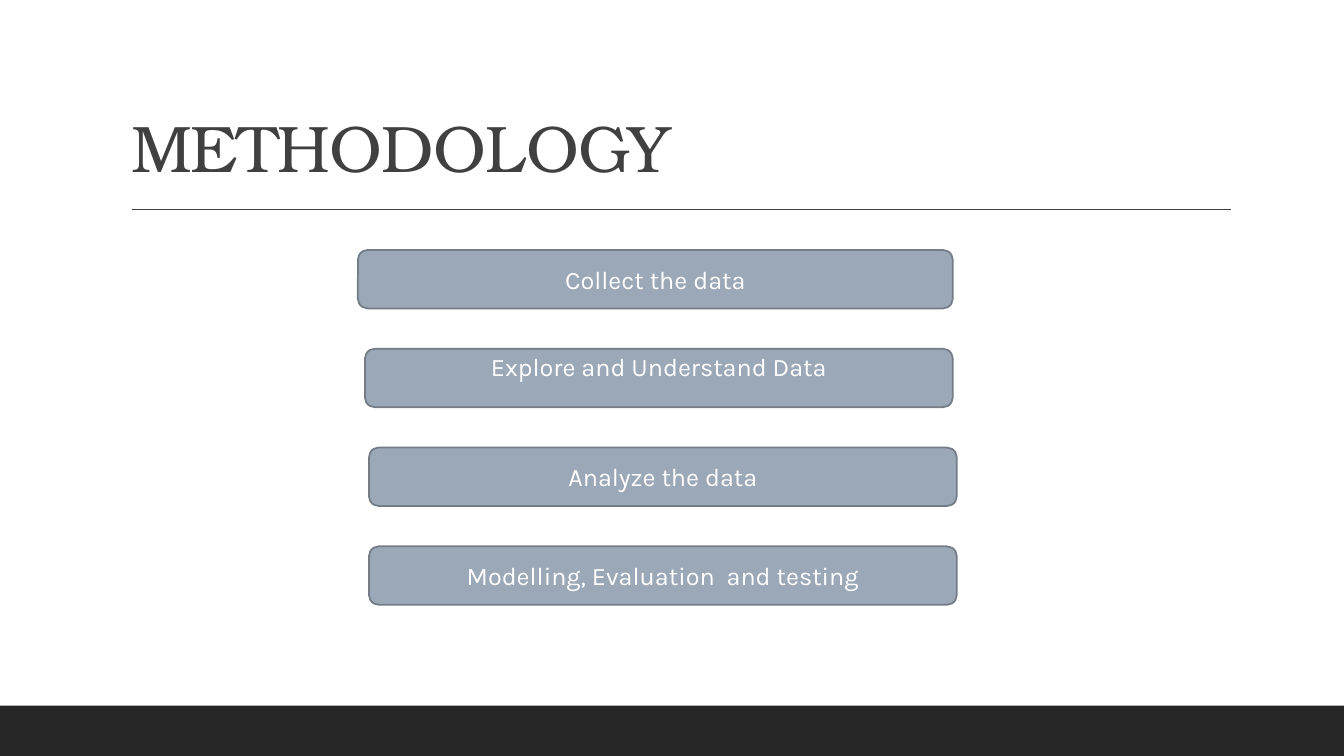
from pptx import Presentation
from pptx.dml.color import RGBColor
from pptx.enum.shapes import MSO_CONNECTOR, MSO_SHAPE
from pptx.enum.text import MSO_ANCHOR, MSO_AUTO_SIZE, PP_ALIGN
from pptx.oxml.ns import qn
from pptx.util import Inches, Pt
from lxml import etree

COLORS = {
    "footer": "262626",
    "title": "404040",
    "step": "9BA8B7",
    "outline": "737C87",
    "step_text": "FFFFFF",
}


def color(name):
    return RGBColor.from_string(COLORS[name])


def style_run(run, font_name, size, color_name):
    run.font.name = font_name
    run.font.size = Pt(size)
    run.font.color.rgb = color(color_name)


presentation = Presentation()
presentation.slide_width = Inches(13.33)
presentation.slide_height = Inches(7.5)
slide = presentation.slides.add_slide(presentation.slide_layouts[5])

# Footer band and title rule
footer = slide.shapes.add_shape(
    MSO_SHAPE.RECTANGLE, 0, Inches(7), Inches(13.33), Inches(0.5)
)
footer.shadow.inherit = False
footer.fill.solid()
footer.fill.fore_color.rgb = color("footer")
footer.line.fill.background()

rule = slide.shapes.add_connector(
    MSO_CONNECTOR.STRAIGHT, Inches(1.31), Inches(2.08), Inches(12.21), Inches(2.08)
)
rule.line.color.rgb = color("title")
rule.line.width = Pt(1)
etree.SubElement(rule._element.spPr, qn("a:effectLst"))

# Title
title = slide.shapes.title
title.left, title.top = Inches(1.2), Inches(0.31)
title.width, title.height = Inches(11), Inches(1.59)
title.text_frame.text = "METHODOLOGY"
title.text_frame.auto_size = MSO_AUTO_SIZE.NONE
title.text_frame.vertical_anchor = MSO_ANCHOR.BOTTOM
paragraph = title.text_frame.paragraphs[0]
paragraph.alignment = PP_ALIGN.LEFT
paragraph.line_spacing = 0.9
title_run = paragraph.runs[0]
style_run(title_run, "TeX Gyre Bonum", 47, "title")
title_run.font._element.set("spc", "-50")

# Steps: text, left edge, width, vertical anchor, top margin
steps = [
    ("Collect the data", 3.55, 5.9, MSO_ANCHOR.MIDDLE, 0.05),
    ("Explore and Understand Data", 3.62, 5.83, MSO_ANCHOR.TOP, 0),
    ("Analyze the data", 3.66, 5.83, MSO_ANCHOR.MIDDLE, 0.05),
    ("Modelling, Evaluation  and testing", 3.66, 5.83, MSO_ANCHOR.MIDDLE, 0.05),
]
for index, (text, left, width, anchor, top_margin) in enumerate(steps):
    step = slide.shapes.add_shape(
        MSO_SHAPE.ROUNDED_RECTANGLE,
        Inches(left), Inches(2.48 + 0.98 * index), Inches(width), Inches(0.58),
    )
    step.shadow.inherit = False
    step.fill.solid()
    step.fill.fore_color.rgb = color("step")
    step.line.color.rgb = color("outline")
    step.line.width = Pt(1.25)
    text_frame = step.text_frame
    text_frame.text = text
    text_frame.vertical_anchor = anchor
    text_frame.margin_top = Inches(top_margin)
    paragraph = text_frame.paragraphs[0]
    paragraph.alignment = PP_ALIGN.CENTER
    style_run(paragraph.runs[0], "Karla", 18, "step_text")

presentation.save("out.pptx")
